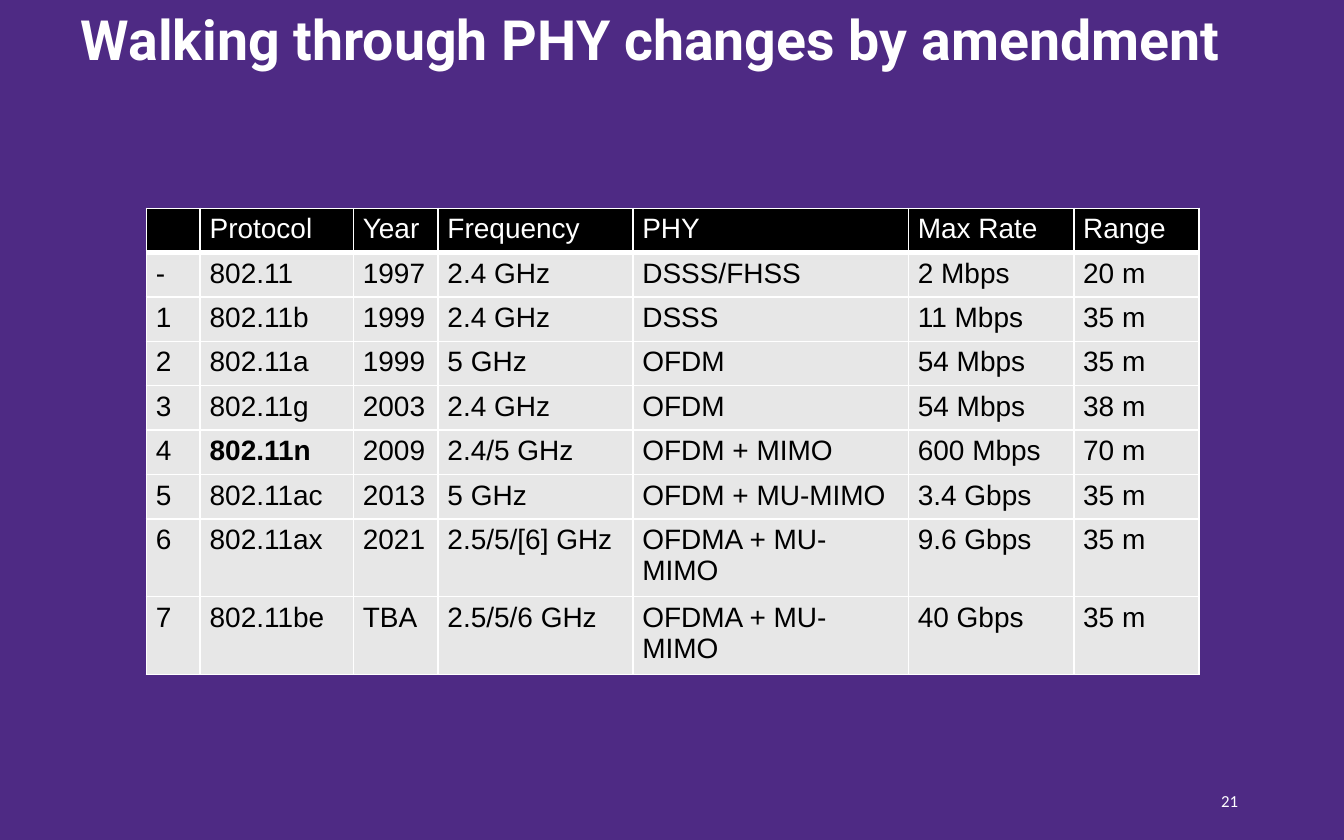
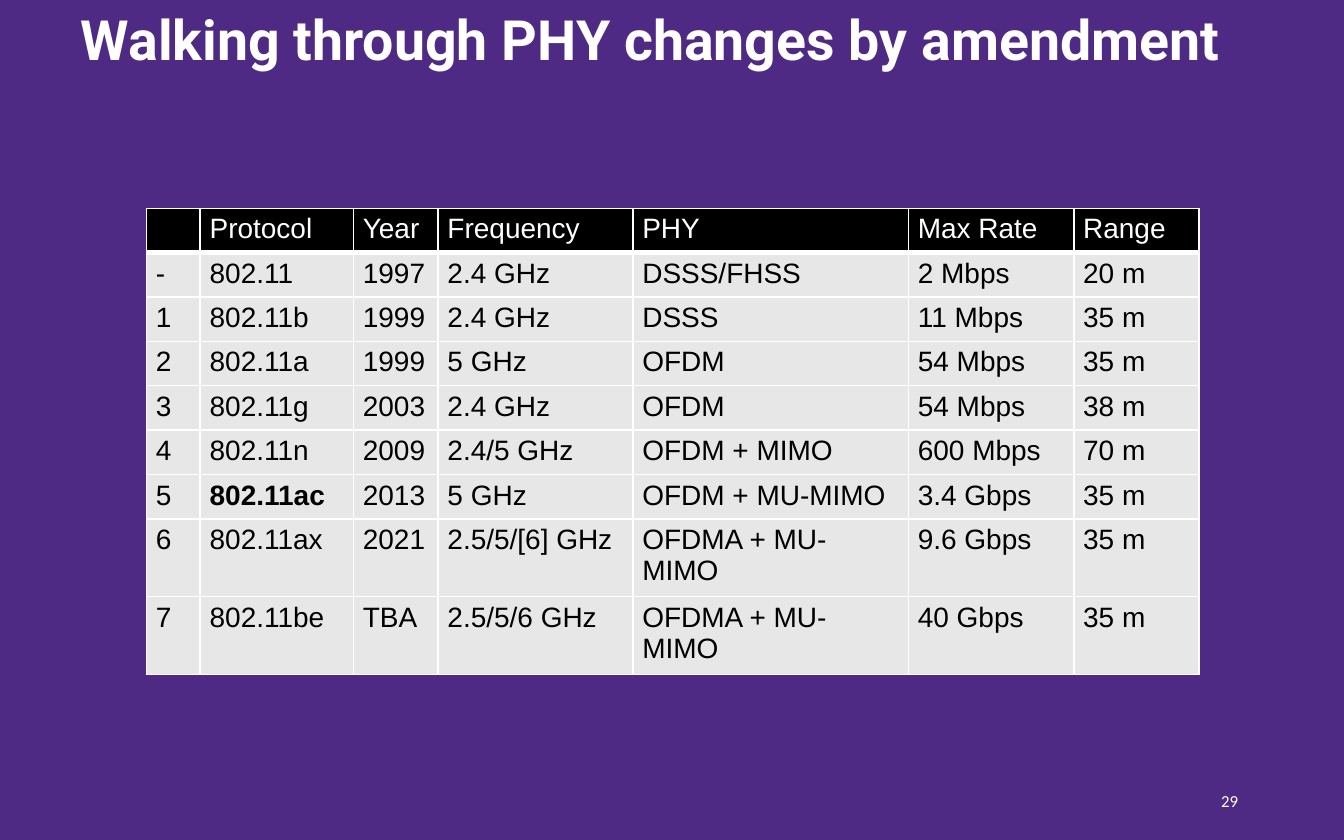
from dataclasses import dataclass

import lxml.etree
import pptx
import pptx.dml.color
import pptx.enum.text
import pptx.oxml.ns
import pptx.presentation
import pptx.slide
import pptx.table
import pptx.text.text
import pptx.util

Inches = pptx.util.Inches
Align = pptx.enum.text.PP_ALIGN
Anchor = pptx.enum.text.MSO_ANCHOR
RGBColor = pptx.dml.color.RGBColor

PURPLE = RGBColor(0x4E, 0x2A, 0x84)
WHITE = RGBColor(0xFF, 0xFF, 0xFF)
BLACK = RGBColor(0x00, 0x00, 0x00)
PALE_GRAY = RGBColor(0xE7, 0xE7, 0xE7)

TITLE = "Walking through PHY changes by amendment"
TITLE_ONLY_LAYOUT = 5
COLUMN_WIDTHS = (0.4, 1.14, 0.63, 1.45, 2.05, 1.23, 0.93)
ROW_HEIGHT = 0.33
WRAPPED_ROW_HEIGHT = 0.57
THIN_RULE = 1
HEADER_RULE = 3


@dataclass(frozen=True)
class Amendment:
    generation: str
    protocol: str
    year: str
    frequency: str
    phy: str
    max_rate: str
    reach: str
    wraps: bool = False

    def values(self) -> tuple[str, ...]:
        return (self.generation, self.protocol, self.year, self.frequency,
                self.phy, self.max_rate, self.reach)


@dataclass(frozen=True)
class AmendmentSlide:
    number: int
    current_protocol: str


HEADER = Amendment("", "Protocol", "Year", "Frequency", "PHY", "Max Rate", "Range")
AMENDMENTS = (
    Amendment("-", "802.11", "1997", "2.4 GHz", "DSSS/FHSS", "2 Mbps", "20 m"),
    Amendment("1", "802.11b", "1999", "2.4 GHz", "DSSS", "11 Mbps", "35 m"),
    Amendment("2", "802.11a", "1999", "5 GHz", "OFDM", "54 Mbps", "35 m"),
    Amendment("3", "802.11g", "2003", "2.4 GHz", "OFDM", "54 Mbps", "38 m"),
    Amendment("4", "802.11n", "2009", "2.4/5 GHz", "OFDM + MIMO", "600 Mbps", "70 m"),
    Amendment("5", "802.11ac", "2013", "5 GHz", "OFDM + MU-MIMO", "3.4 Gbps", "35 m"),
    Amendment("6", "802.11ax", "2021", "2.5/5/[6] GHz", "OFDMA + MU-MIMO",
              "9.6 Gbps", "35 m", wraps=True),
    Amendment("7", "802.11be", "TBA", "2.5/5/6 GHz", "OFDMA + MU-MIMO",
              "40 Gbps", "35 m", wraps=True),
)
SLIDES = (AmendmentSlide(21, "802.11n"), AmendmentSlide(29, "802.11ac"))


def write_text(frame: pptx.text.text.TextFrame, text: str, *, size: float,
               font: str, color: RGBColor, bold: bool = False,
               align: Align = Align.LEFT, line_spacing: float = 1.0) -> None:
    frame.word_wrap = True
    paragraph = frame.paragraphs[0]
    paragraph.alignment = align
    paragraph.line_spacing = line_spacing
    if not text:
        end_format = lxml.etree.SubElement(
            paragraph._p, pptx.oxml.ns.qn("a:endParaRPr"))
        end_format.set("sz", str(round(size * 100)))
        return
    run = paragraph.add_run()
    run.text = text
    run.font.size = pptx.util.Pt(size)
    run.font.name = font
    run.font.bold = bold
    run.font.color.rgb = color


def rule_cell(cell: pptx.table._Cell, bottom: float) -> None:
    properties = cell._tc.get_or_add_tcPr()
    widths = {"L": THIN_RULE, "R": THIN_RULE, "T": THIN_RULE, "B": bottom}
    for side, width in widths.items():
        rule = lxml.etree.SubElement(properties, pptx.oxml.ns.qn(f"a:ln{side}"))
        rule.set("w", str(pptx.util.Pt(width)))
        fill = lxml.etree.SubElement(rule, pptx.oxml.ns.qn("a:solidFill"))
        lxml.etree.SubElement(
            fill, pptx.oxml.ns.qn("a:srgbClr")).set("val", str(WHITE))


def add_title(slide: pptx.slide.Slide) -> None:
    title = slide.shapes.title
    title.left, title.top = Inches(0.5), Inches(0.01)
    title.width, title.height = Inches(9), Inches(0.62)
    title.text_frame.auto_size = pptx.enum.text.MSO_AUTO_SIZE.NONE
    title.text_frame.vertical_anchor = Anchor.MIDDLE
    write_text(title.text_frame, TITLE, size=29.7, font="Roboto", color=WHITE,
               bold=True, line_spacing=0.9)


def add_slide_number(slide: pptx.slide.Slide, number: int) -> None:
    footer = slide.shapes.add_textbox(
        Inches(7.06), Inches(5.79), Inches(2.25), Inches(0.33))
    footer.text_frame.vertical_anchor = Anchor.MIDDLE
    write_text(footer.text_frame, str(number), size=9, font="Calibri",
               color=WHITE, align=Align.RIGHT)


def add_amendment_table(slide: pptx.slide.Slide, current_protocol: str) -> None:
    rows = (HEADER, *AMENDMENTS)
    heights = [WRAPPED_ROW_HEIGHT if row.wraps else ROW_HEIGHT for row in rows]
    table = slide.shapes.add_table(
        len(rows), len(COLUMN_WIDTHS), Inches(1.09), Inches(1.55),
        Inches(sum(COLUMN_WIDTHS)), Inches(sum(heights))).table
    table.horz_banding = False
    for column, width in zip(table.columns, COLUMN_WIDTHS):
        column.width = Inches(width)
    for row_index, (amendment, height) in enumerate(zip(rows, heights)):
        table.rows[row_index].height = Inches(height)
        is_header = amendment is HEADER
        for column_index, value in enumerate(amendment.values()):
            cell = table.cell(row_index, column_index)
            cell.margin_left = cell.margin_right = Inches(0.07)
            cell.margin_top = cell.margin_bottom = Inches(0.04)
            rule_cell(cell, HEADER_RULE if is_header else THIN_RULE)
            cell.fill.solid()
            cell.fill.fore_color.rgb = BLACK if is_header else PALE_GRAY
            write_text(cell.text_frame, value, size=15, font="Arial",
                       color=WHITE if is_header else BLACK,
                       bold=value == current_protocol)


def add_amendment_slide(deck: pptx.presentation.Presentation,
                        content: AmendmentSlide) -> None:
    slide = deck.slides.add_slide(deck.slide_layouts[TITLE_ONLY_LAYOUT])
    add_title(slide)
    add_slide_number(slide, content.number)
    add_amendment_table(slide, content.current_protocol)


def main() -> None:
    deck = pptx.Presentation()
    deck.slide_width, deck.slide_height = Inches(10), Inches(6.25)
    background = deck.slide_master.background.fill
    background.solid()
    background.fore_color.rgb = PURPLE
    for content in SLIDES:
        add_amendment_slide(deck, content)
    deck.save("out.pptx")


if __name__ == "__main__":
    main()
